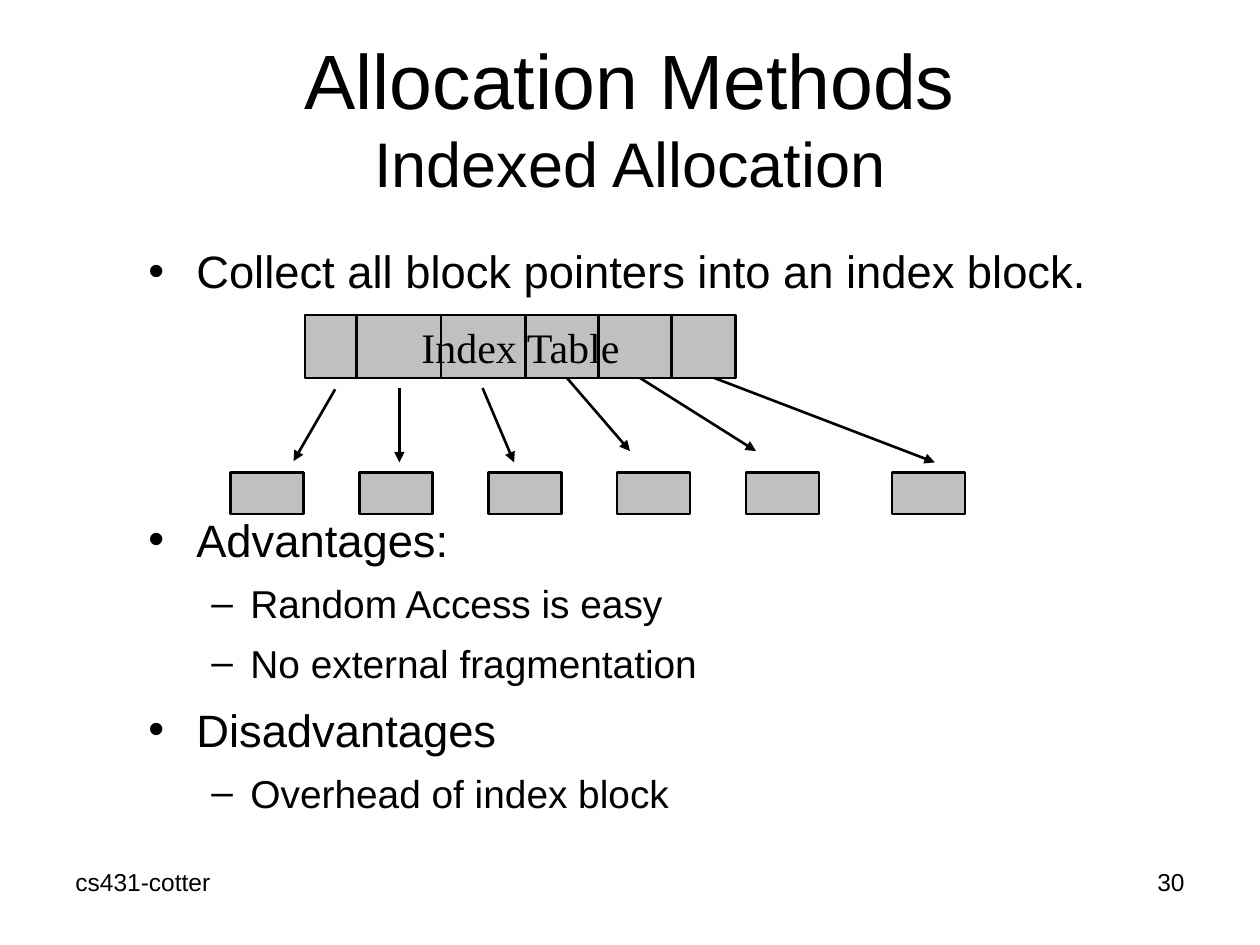
from dataclasses import dataclass

from lxml.etree import SubElement
from pptx import Presentation
from pptx.dml.color import RGBColor
from pptx.enum.shapes import MSO_CONNECTOR as Connector, MSO_SHAPE as Shape
from pptx.enum.text import MSO_ANCHOR as Anchor, PP_ALIGN as Align
from pptx.oxml.ns import qn
from pptx.util import Inches, Pt


@dataclass(frozen=True)
class Theme:
    ink: RGBColor = RGBColor(0, 0, 0)
    block: RGBColor = RGBColor(0xC0, 0xC0, 0xC0)
    sans: str = "Arial"
    serif: str = "Times New Roman"
    title: float = 44
    subtitle: float = 36
    levels: tuple = (25.9, 22.2)
    label: float = 24
    footer: float = 14
    line: float = 1.5


THEME = Theme()

TITLE = [("Allocation Methods", THEME.title), ("Indexed Allocation", THEME.subtitle)]
BULLETS = [
    (0, "Collect all block pointers into an index block.", 0),
    (0, "Advantages:", 122.5),
    (1, "Random Access is easy", 7.5),
    (1, "No external fragmentation", 7.5),
    (0, "Disadvantages", 9),
    (1, "Overhead of index block", 7.5),
]
LEVELS = [("•", 0.38, 0.38), ("–", 0.81, 0.31)]
FOOTERS = [("cs431-cotter", 0.5, Align.LEFT), ("30", 7.17, Align.RIGHT)]

TABLE_LABEL = "Index Table"
TABLE_LEFT, TABLE_TOP, TABLE_WIDTH, TABLE_HEIGHT = 2.42, 2.5, 3.42, 0.5
DIVIDERS = [2.83, 3.5, 4.17, 4.75, 5.33]
BLOCK_TOP, BLOCK_WIDTH, BLOCK_HEIGHT = 3.75, 0.58, 0.33
BLOCK_LEFTS = [1.83 + 1.0225 * index for index in range(5)] + [7.08]
POINTERS = [
    ((2.66, 3.09), (2.33, 3.66)),
    ((3.17, 3.08), (3.17, 3.67)),
    ((3.83, 3.08), (4.08, 3.67)),
    ((4.5, 3), (5, 3.58)),
    ((5.08, 3), (6, 3.58)),
    ((5.67, 3), (7.42, 3.67)),
]


def add_run(paragraph, text, size, font=THEME.sans):
    run = paragraph.add_run()
    run.text = text
    run.font.size = Pt(size)
    run.font.name = font
    run.font.color.rgb = THEME.ink


def add_text_frame(slide, left, top, width, height):
    box = slide.shapes.add_textbox(*map(Inches, (left, top, width, height)))
    box.text_frame.word_wrap = True
    return box.text_frame


def add_title(slide):
    frame = add_text_frame(slide, 0.5, 0.3, 9, 1.25)
    frame.vertical_anchor = Anchor.MIDDLE
    paragraph = frame.paragraphs[0]
    paragraph.alignment = Align.CENTER
    for index, (text, size) in enumerate(TITLE):
        if index:
            paragraph.add_line_break()
        add_run(paragraph, text, size)


def add_bullets(slide):
    frame = add_text_frame(slide, 1.08, 1.83, 8.5, 4.5)
    frame.margin_top = Inches(0.1)
    for index, (level, text, space) in enumerate(BULLETS):
        paragraph = frame.add_paragraph() if index else frame.paragraphs[0]
        paragraph.level = level
        paragraph.space_before = Pt(space)
        add_run(paragraph, text, THEME.levels[level])
        mark, margin, hanging = LEVELS[level]
        properties = paragraph._p.get_or_add_pPr()
        properties.set("marL", str(Inches(margin)))
        properties.set("indent", str(-Inches(hanging)))
        SubElement(properties, qn("a:buFont"), typeface=THEME.sans)
        SubElement(properties, qn("a:buChar"), char=mark)


def add_footers(slide):
    for text, left, alignment in FOOTERS:
        paragraph = add_text_frame(slide, left, 6.83, 2.33, 0.52).paragraphs[0]
        paragraph.alignment = alignment
        add_run(paragraph, text, THEME.footer)


def add_block(slide, left, top, width, height):
    shape = slide.shapes.add_shape(
        Shape.RECTANGLE, *map(Inches, (left, top, width, height))
    )
    shape.shadow.inherit = False
    shape.fill.solid()
    shape.fill.fore_color.rgb = THEME.block
    shape.line.color.rgb = THEME.ink
    shape.line.width = Pt(THEME.line)
    return shape


def add_line(slide, start, end, arrow=False):
    connector = slide.shapes.add_connector(
        Connector.STRAIGHT, *map(Inches, (*start, *end))
    )
    connector.line.color.rgb = THEME.ink
    connector.line.width = Pt(THEME.line)
    if arrow:
        SubElement(connector.line._get_or_add_ln(), qn("a:tailEnd"), type="triangle")
    SubElement(connector._element.spPr, qn("a:effectLst"))


def add_diagram(slide):
    table = add_block(slide, TABLE_LEFT, TABLE_TOP, TABLE_WIDTH, TABLE_HEIGHT)
    frame = table.text_frame
    frame.word_wrap = False
    frame.vertical_anchor = Anchor.MIDDLE
    frame.paragraphs[0].alignment = Align.CENTER
    add_run(frame.paragraphs[0], TABLE_LABEL, THEME.label, THEME.serif)
    for x in DIVIDERS:
        add_line(slide, (x, TABLE_TOP), (x, TABLE_TOP + TABLE_HEIGHT))
    for left in BLOCK_LEFTS:
        add_block(slide, left, BLOCK_TOP, BLOCK_WIDTH, BLOCK_HEIGHT)
    for start, end in POINTERS:
        add_line(slide, start, end, arrow=True)


def main():
    presentation = Presentation()
    presentation.slide_width = Inches(10)
    presentation.slide_height = Inches(7.5)
    slide = presentation.slides.add_slide(presentation.slide_layouts[6])
    add_footers(slide)
    add_title(slide)
    add_bullets(slide)
    add_diagram(slide)
    presentation.save("out.pptx")


if __name__ == "__main__":
    main()
